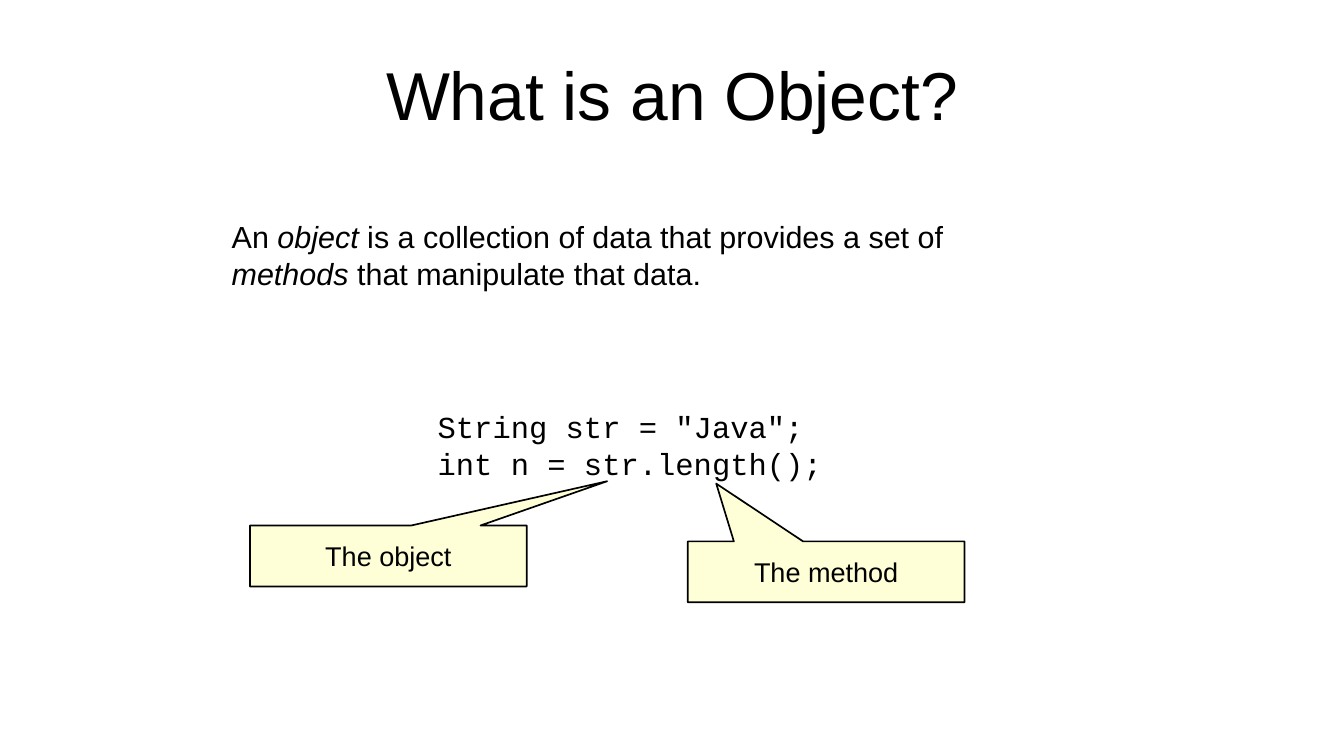
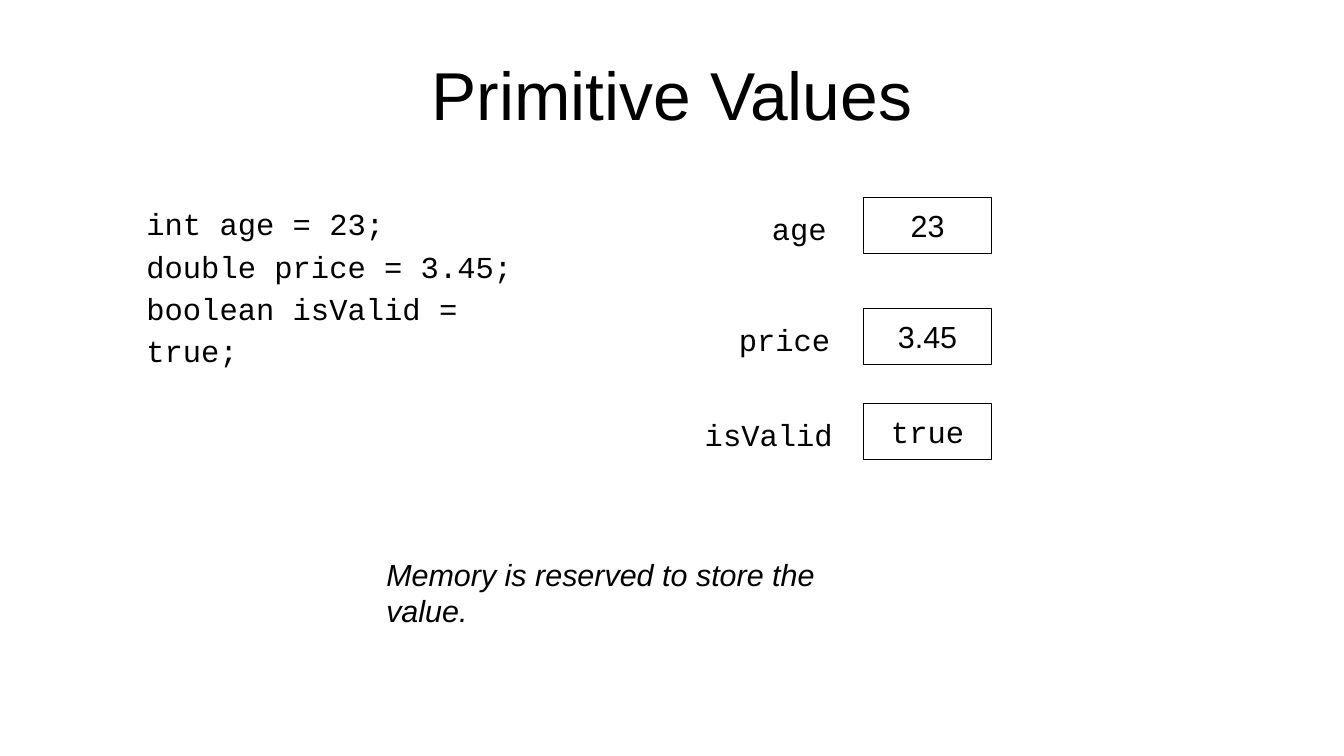
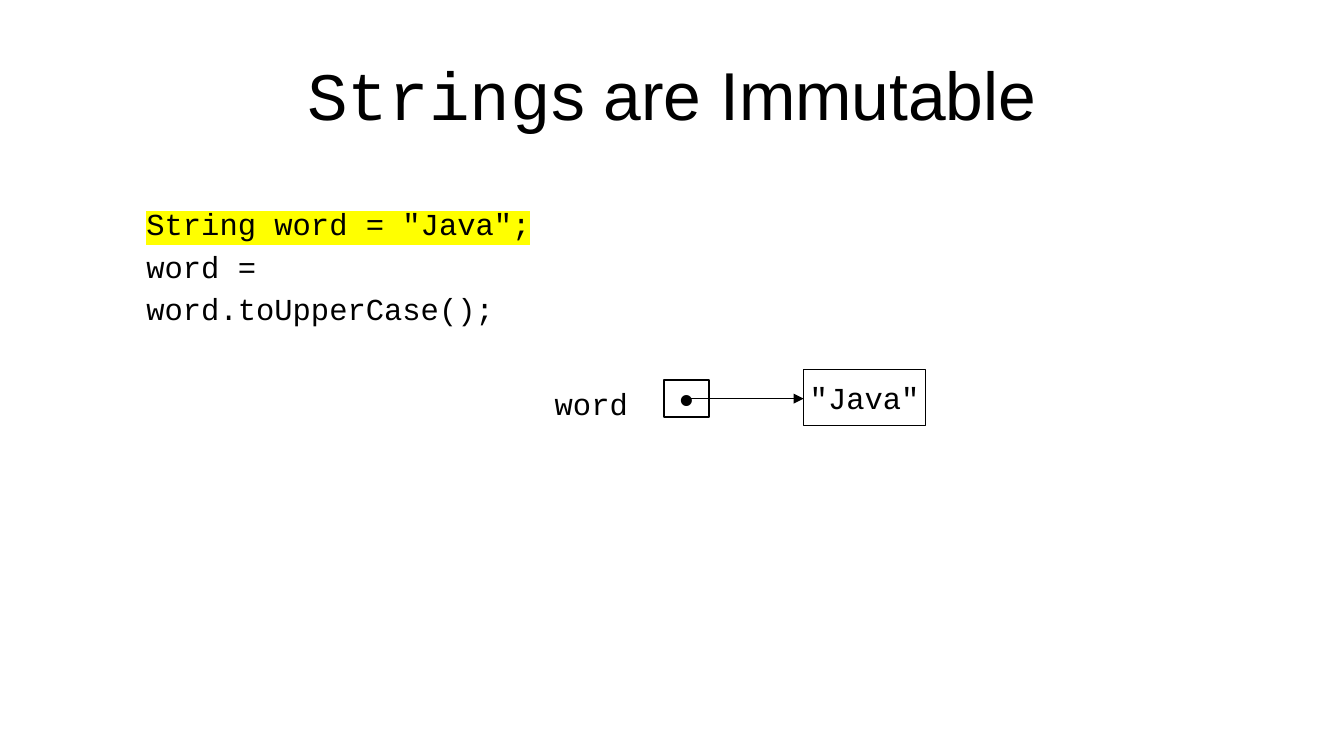
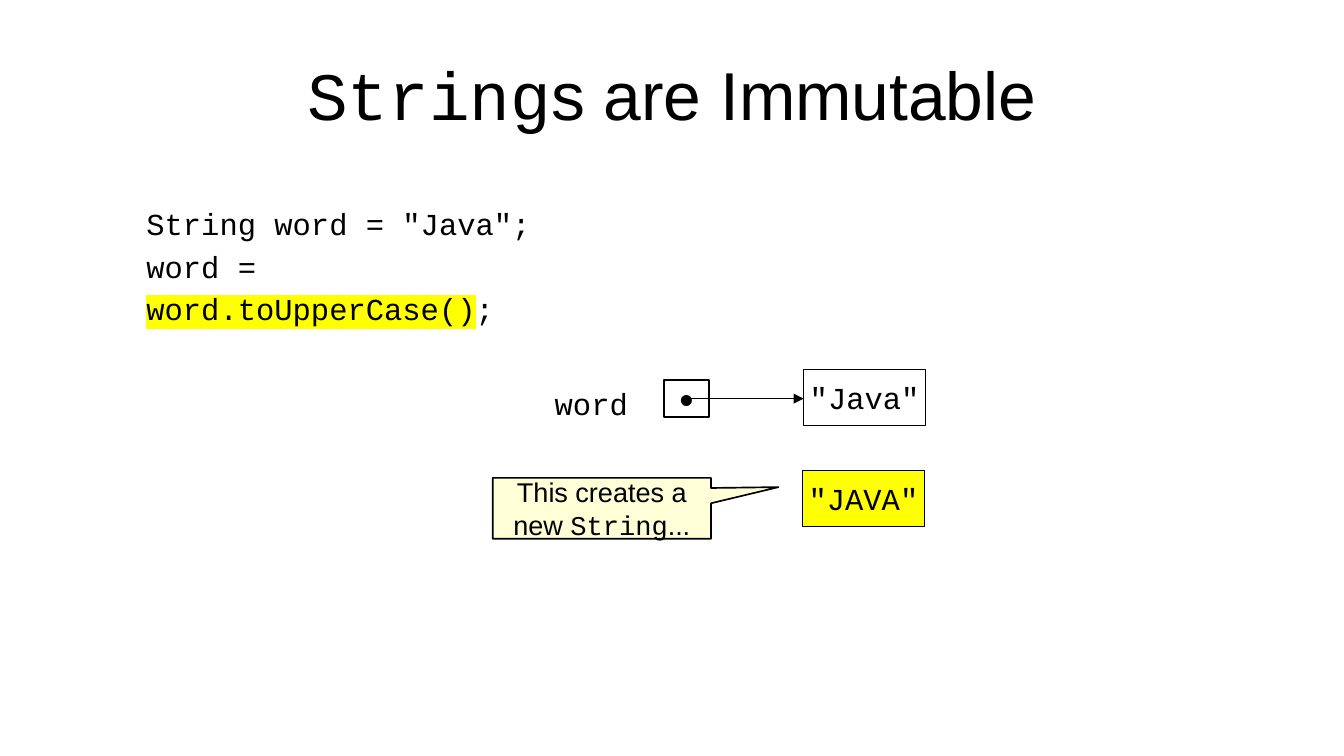
from lxml.etree import SubElement
from pptx import Presentation
from pptx.dml.color import RGBColor
from pptx.enum.shapes import MSO_CONNECTOR, MSO_SHAPE
from pptx.enum.text import MSO_ANCHOR, MSO_AUTO_SIZE, PP_ALIGN
from pptx.oxml.ns import qn
from pptx.util import Pt

SANS, MONO = "Arial", "Courier New"
BLACK, WHITE, CREAM, YELLOW = "000000", "FFFFFF", "FFFFD7", "FFFF00"
ITALIC = {"italic": True}
CODE = {"font": MONO}
MARKED = {"highlight": YELLOW}

TITLE_BOX = (39.6, 18, 714.2, 74.9)
CELL_SIZE = (75.6, 33.1)
STRING_SIZE = (72, 33.1)

OBJECT_TITLE = [["What is an Object?"]]
DEFINITION = [["An ", ("object", ITALIC),
               " is a collection of data that provides a set of ",
               ("methods", ITALIC), " that manipulate that data."]]
OBJECT_CODE = [['String str = "Java";'], ["int n = str.length();"]]
OBJECT_CALLOUTS = [
    ("The object", (147.6, 310.3, 163.4, 36), (0.791, -1.226)),
    ("The method", (406.1, 319.7, 163.4, 36), (-0.397, -1.448)),
]

PRIMITIVE_TITLE = [["Primitive Values"]]
PRIMITIVE_CODE = [["int age = 23;"], ["double price = 3.45;"], ["boolean isValid = true;"]]
VARIABLES = [
    ("age", 448.6, 50.4, "23", SANS, 116.6),
    ("price", 429.1, 71.3, "3.45", SANS, 182.2),
    ("isValid", 409, 97.9, "true", MONO, 238.3),
]
MEMORY_NOTE = [[("Memory is reserved to store the value.", ITALIC)]]

STRING_TITLE = [[("String", CODE), "s are Immutable"]]
STRING_CODES = [
    [[('String word = "Java";', MARKED)], ["word = word.toUpperCase();"]],
    [['String word = "Java";'], ["word = ", ("word.toUpperCase()", MARKED), ";"]],
]
NEW_STRING_CALLOUT = [["This creates a"], ["new ", ("String", CODE), "..."]]


def color(value):
    return RGBColor.from_string(value)


def place(shape, area):
    shape.left, shape.top, shape.width, shape.height = map(Pt, area)


def add_span(para, text, size=18, font=SANS, italic=False, highlight=None):
    span = para.add_run()
    span.text = text
    span.font.size = Pt(size)
    span.font.italic = italic
    span.font.color.rgb = color(BLACK)
    if highlight:
        mark = SubElement(span.font._element, qn("a:highlight"))
        SubElement(mark, qn("a:srgbClr")).set("val", highlight)
    span.font.name = font


def write(shape, paragraphs, align=PP_ALIGN.LEFT, anchor=MSO_ANCHOR.TOP,
          inset=(7.2, 3.6), wrap=True, spacing=1.0, **style):
    frame = shape.text_frame
    frame.word_wrap = wrap
    frame.auto_size = MSO_AUTO_SIZE.NONE
    frame.vertical_anchor = anchor
    frame.margin_left = frame.margin_right = Pt(inset[0])
    frame.margin_top = frame.margin_bottom = Pt(inset[1])
    for index, spans in enumerate(paragraphs):
        para = frame.add_paragraph() if index else frame.paragraphs[0]
        para.alignment = align
        para.line_spacing = spacing
        para.space_before = para.space_after = Pt(0)
        for span in spans:
            text, changes = (span, {}) if isinstance(span, str) else span
            add_span(para, text, **{**style, **changes})


def add_page(deck, title, body, area, **style):
    page = deck.slides.add_slide(deck.slide_layouts[1])
    write(page.shapes.title, title, align=PP_ALIGN.CENTER,
          anchor=MSO_ANCHOR.MIDDLE, inset=(0, 0), size=40)
    content = page.placeholders[1]
    place(content, area)
    write(content, body, **style)
    for para in content.text_frame.paragraphs:
        properties = para._p.get_or_add_pPr()
        properties.set("marL", "0")
        properties.set("indent", "0")
        SubElement(properties, qn("a:buNone"))
    return page


def add_text(page, paragraphs, area, **style):
    write(page.shapes.add_textbox(*map(Pt, area)), paragraphs, **style)


def add_box(page, paragraphs, area, kind=MSO_SHAPE.RECTANGLE, fill=WHITE, **style):
    box = page.shapes.add_shape(kind, *map(Pt, area))
    box.shadow.inherit = False
    box.fill.solid()
    box.fill.fore_color.rgb = color(fill)
    box.line.color.rgb = color(BLACK)
    box.line.width = Pt(1)
    write(box, paragraphs, align=PP_ALIGN.CENTER, anchor=MSO_ANCHOR.MIDDLE,
          inset=(7.9, 4.3), wrap=False, **style)
    return box


def add_callout(page, paragraphs, area, tip):
    callout = add_box(page, paragraphs, area, MSO_SHAPE.RECTANGULAR_CALLOUT, CREAM, size=16)
    for index, offset in enumerate(tip):
        callout.adjustments[index] = offset


def add_arrow(page, start, end):
    arrow = page.shapes.add_connector(MSO_CONNECTOR.STRAIGHT, *map(Pt, start + end))
    arrow.line.color.rgb = color(BLACK)
    arrow.line.width = Pt(1)
    SubElement(arrow.line._get_or_add_ln(), qn("a:tailEnd")).set("type", "triangle")
    SubElement(arrow._element.spPr, qn("a:effectLst"))


def add_string_page(deck, code):
    page = add_page(deck, STRING_TITLE, code, (79.2, 114.5, 295.2, 68.4),
                    font=MONO, spacing=1.15)
    add_text(page, [["word"]], (320.4, 223.9, 71.3, 27.4), font=MONO)
    add_box(page, [["•"]], (392, 224.6, 26.6, 21.6), size=24)
    add_box(page, [['"Java"']], (474.5, 218.2, *STRING_SIZE), font=MONO)
    add_arrow(page, (407.8, 235.4), (474.5, 235.4))
    return page


deck = Presentation()
deck.slide_width, deck.slide_height = Pt(793.5), Pt(446.4)
place(deck.slide_layouts[1].placeholders[0], TITLE_BOX)

page = add_page(deck, OBJECT_TITLE, DEFINITION, (129.6, 125.3, 507.6, 47.5))
add_text(page, OBJECT_CODE, (251.3, 237.6, 241.2, 48.2), font=MONO)
for text, area, tip in OBJECT_CALLOUTS:
    add_callout(page, [[text]], area, tip)

page = add_page(deck, PRIMITIVE_TITLE, PRIMITIVE_CODE, (79.2, 114.5, 262.8, 77.8),
                font=MONO, spacing=1.15)
for name, left, width, value, font, top in VARIABLES:
    add_box(page, [[value]], (509.8, top, *CELL_SIZE), font=font)
    add_text(page, [[name]], (left, top + 4.1, width, 27.4), font=MONO)
add_text(page, MEMORY_NOTE, (221, 324.7, 319.7, 27.4))

for code in STRING_CODES:
    page = add_string_page(deck, code)
add_box(page, [['"JAVA"']], (473.8, 277.9, *STRING_SIZE), fill=YELLOW, font=MONO)
add_callout(page, NEW_STRING_CALLOUT, (290.9, 282.2, 128.9, 36), (0.809, -0.348))

deck.save("out.pptx")
